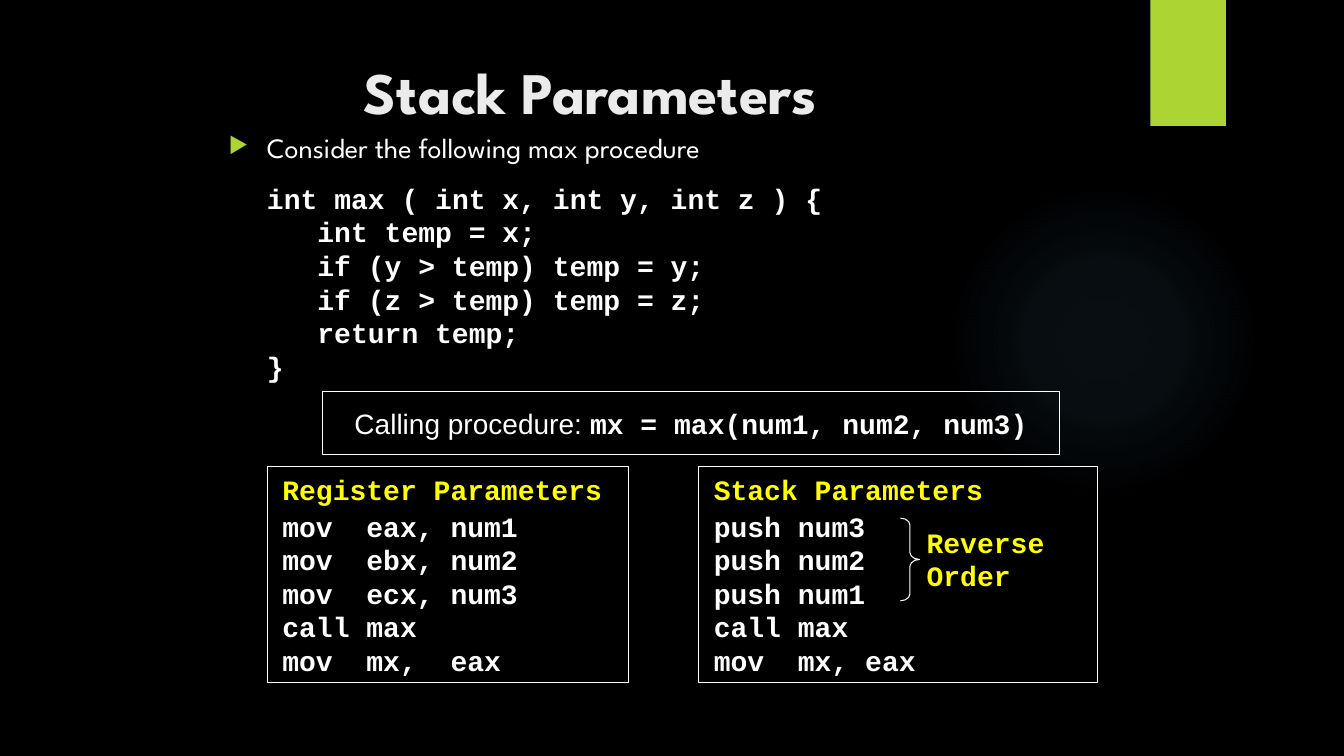
from dataclasses import dataclass

from lxml import etree
from pptx import Presentation
from pptx.dml.color import RGBColor
from pptx.enum.shapes import MSO_SHAPE as SHAPE
from pptx.enum.text import MSO_ANCHOR as ANCHOR, PP_ALIGN as ALIGN
from pptx.oxml import parse_xml
from pptx.oxml.ns import nsdecls, qn
from pptx.util import Emu, Pt

PX = 9144  # 100 px to the inch
WHITE, YELLOW, LIME, GLOW = "FFFFFF", "FFFF00", "ACD433", "7AC4F0"
MONO, HEAD, SANS = "Courier New", "League Spartan", "Arial"
LINE_PITCH = Pt(24)


@dataclass
class Box:
    x: int
    y: int
    w: int
    h: int


@dataclass
class Line:
    text: str
    color: str = WHITE
    font: str = MONO
    size: int = 20
    bold: bool = True
    before: float = 0
    indent: int = 0


@dataclass
class Listing:
    box: Box
    title: str
    code: list[str]


def px(n: int) -> Emu:
    return Emu(n * PX)


def rgb(value: str) -> RGBColor:
    return RGBColor.from_string(value)


def style(r, line: Line) -> None:
    f = r.font
    f.name, f.size, f.bold = line.font, Pt(line.size), line.bold
    f.color.rgb = rgb(line.color)


def write(tf, lines: list[Line], align=ALIGN.LEFT) -> None:
    for i, line in enumerate(lines):
        p = tf.add_paragraph() if i else tf.paragraphs[0]
        p.text = line.text
        p.alignment = align
        p.space_before = Pt(line.before)
        if line.font == MONO:
            p.line_spacing = LINE_PITCH
        if line.indent:
            p._p.get_or_add_pPr().set("marL", str(px(line.indent)))
        style(p.runs[0], line)


def add_text(slide, box: Box, lines: list[Line], align=ALIGN.LEFT):
    s = slide.shapes.add_textbox(px(box.x), px(box.y), px(box.w), px(box.h))
    s.text_frame.word_wrap = True
    write(s.text_frame, lines, align)
    return s.text_frame


def add_shape(slide, kind, box: Box, fill: str = "", outline: str = ""):
    s = slide.shapes.add_shape(kind, px(box.x), px(box.y), px(box.w), px(box.h))
    s.shadow.inherit = False
    if fill:
        s.fill.solid()
        s.fill.fore_color.rgb = rgb(fill)
    else:
        s.fill.background()
    if outline:
        s.line.color.rgb = rgb(outline)
        s.line.width = Pt(0.75)
    else:
        s.line.fill.background()
    return s


def add_frame(slide, box: Box):
    tf = add_shape(slide, SHAPE.RECTANGLE, box, outline=WHITE).text_frame
    tf.word_wrap = True
    tf.vertical_anchor = ANCHOR.MIDDLE
    tf.margin_left = tf.margin_right = px(15)
    tf.margin_top = tf.margin_bottom = 0
    return tf


def add_glow(slide, box: Box) -> None:
    s = add_shape(slide, SHAPE.OVAL, box)
    stops = "".join(
        f'<a:gs pos="{pos * 1000}"><a:srgbClr val="{GLOW}">'
        f'<a:alpha val="{alpha * 1000}"/></a:srgbClr></a:gs>'
        for pos, alpha in ((0, 7), (36, 6), (69, 0))
    )
    grad = parse_xml(
        f'<a:gradFill {nsdecls("a")}><a:gsLst>{stops}</a:gsLst><a:path path="circle">'
        '<a:fillToRect l="50000" t="50000" r="50000" b="50000"/></a:path></a:gradFill>'
    )
    old = s._element.spPr.find(qn("a:noFill"))
    s._element.spPr.replace(old, grad)


def add_tab(slide, box: Box) -> None:
    s = add_shape(slide, SHAPE.RECTANGLE, box, fill=LIME)
    effects = s._element.spPr.find(qn("a:effectLst"))
    effects.append(parse_xml(
        f'<a:outerShdw {nsdecls("a")} blurRad="38100" dist="25400" dir="5400000">'
        '<a:srgbClr val="000000"><a:alpha val="45000"/></a:srgbClr></a:outerShdw>'
    ))


def set_bullet(p, indent: int) -> None:
    pPr = p._p.get_or_add_pPr()
    pPr.set("indent", str(-px(indent)))
    color = etree.SubElement(pPr, qn("a:buClr"))
    etree.SubElement(color, qn("a:srgbClr"), val=LIME)
    etree.SubElement(pPr, qn("a:buSzPct"), val="80000")
    etree.SubElement(pPr, qn("a:buChar"), char="▶")


CODE_INDENT, BODY_INDENT = 38, 88
MAX_BODY = ["int temp = x;", "if (y > temp) temp = y;", "if (z > temp) temp = z;", "return temp;"]
LISTINGS = [
    Listing(Box(265, 463, 358, 214), "Register Parameters",
            ["mov  eax, num1", "mov  ebx, num2", "mov  ecx, num3", "call max", "mov  mx,  eax"]),
    Listing(Box(693, 463, 396, 214), "Stack Parameters",
            ["push num3", "push num2", "push num1", "call max", "mov  mx, eax"]),
]


def main() -> None:
    prs = Presentation()
    prs.slide_width, prs.slide_height = px(1333), px(750)
    slide = prs.slides.add_slide(prs.slide_layouts[6])
    slide.background.fill.solid()
    slide.background.fill.fore_color.rgb = rgb("000000")

    # Backdrop
    add_glow(slide, Box(941, 183, 308, 308))
    add_tab(slide, Box(1141, 0, 75, 125))

    # Title
    add_text(slide, Box(71, 50, 1029, 153),
             [Line("Stack Parameters", "EBEBEB", HEAD, 42)], ALIGN.CENTER)

    # Procedure max
    body = add_text(slide, Box(217, 125, 900, 552), [
        Line("Consider the following max procedure", font=HEAD, bold=False,
             before=10, indent=CODE_INDENT),
        Line("int max ( int x, int y, int z ) {", before=12, indent=CODE_INDENT),
        *(Line(code, indent=BODY_INDENT) for code in MAX_BODY),
        Line("}", indent=CODE_INDENT),
    ])
    set_bullet(body.paragraphs[0], CODE_INDENT)

    # Call in the high-level language
    call = add_frame(slide, Box(320, 388, 731, 63))
    write(call, [Line("Calling procedure: ", font=SANS, bold=False, before=12)], ALIGN.CENTER)
    r = call.paragraphs[0].add_run()
    r.text = "mx = max(num1, num2, num3)"
    style(r, Line(r.text))

    # Assembly listings
    for listing in LISTINGS:
        first, *rest = listing.code
        write(add_frame(slide, listing.box), [
            Line(listing.title, YELLOW, before=2.4),
            Line(first, before=2.4),
            *(Line(code) for code in rest),
        ])

    # Brace with its label
    brace = add_shape(slide, SHAPE.RIGHT_BRACE, Box(893, 514, 19, 82), outline=WHITE)
    brace.adjustments[0] = 0.36
    brace.adjustments[1] = 0.5
    label = add_text(slide, Box(919, 501, 145, 107),
                     [Line("Reverse", YELLOW), Line("Order", YELLOW)])
    label.vertical_anchor = ANCHOR.MIDDLE
    label.margin_left = label.margin_right = label.margin_top = label.margin_bottom = 0

    prs.save("out.pptx")


if __name__ == "__main__":
    main()
